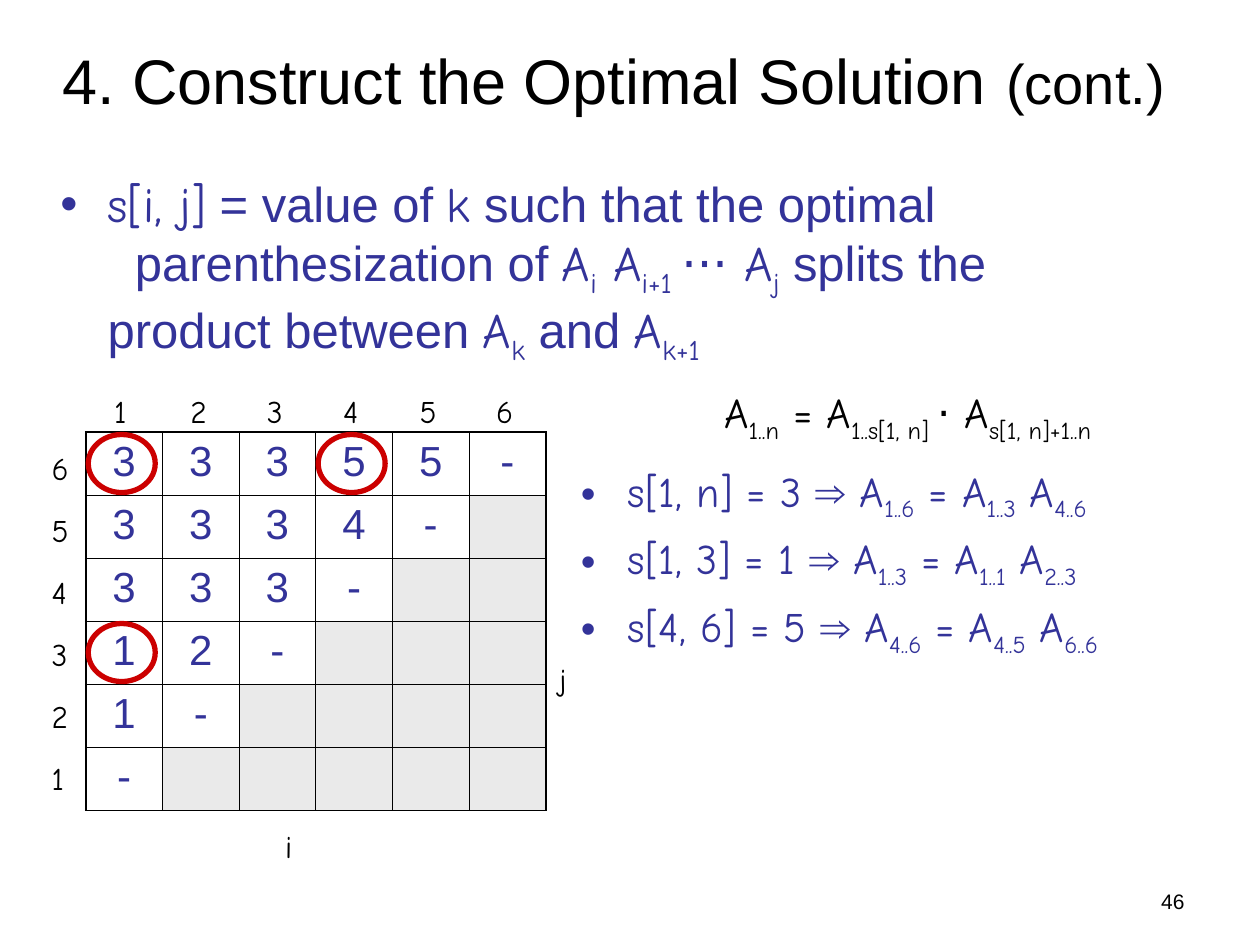
from lxml import etree
from pptx import Presentation
from pptx.dml.color import RGBColor
from pptx.enum.shapes import MSO_SHAPE
from pptx.enum.text import MSO_ANCHOR, MSO_AUTO_SIZE, PP_ALIGN
from pptx.oxml.ns import qn
from pptx.util import Cm, Pt

LEFT, CENTER, RIGHT = PP_ALIGN.LEFT, PP_ALIGN.CENTER, PP_ALIGN.RIGHT
TOP, MIDDLE = MSO_ANCHOR.TOP, MSO_ANCHOR.MIDDLE
FIT_SHAPE = MSO_AUTO_SIZE.SHAPE_TO_FIT_TEXT
ELLIPSE = MSO_SHAPE.OVAL

BLACK = RGBColor(0x00, 0x00, 0x00)
INDIGO = RGBColor(0x33, 0x33, 0x99)
RED = RGBColor(0xCC, 0x00, 0x00)
GRAY = RGBColor(0xEA, 0xEA, 0xEA)

SANS, HAND = "Arial", "Comic Neue"
HANGING = Cm(0.95)

SPLITS = ["3 3 3 5 5 -", "3 3 3 4 -", "3 3 3 -", "1 2 -", "1 -", "-"]
SIZE = len(SPLITS)
GRID_LEFT, GRID_TOP = Cm(1.73), Cm(8.71)
COLUMN_WIDTH, ROW_HEIGHT = Cm(9.27) // SIZE, Cm(1.27)
CHOSEN_CELLS = [(0, 0), (3, 0), (0, 3)]  # row, column

# Each step: s[...] with its value, the product, and its two factors
STEPS = [
    ("s[1, n] = 3 ", "1..6", "1..3", "4..6"),
    ("s[1, 3] = 1 ", "1..3", "1..1", "2..3"),
    ("s[4, 6] = 5 ", "4..6", "4..5", "6..6"),
]


def add_text(paragraph, text, size=18, font=HAND, color=BLACK, sub=False):
    run = paragraph.add_run()
    run.text = text
    run.font.size = Pt(size)
    run.font.name = font
    run.font.color.rgb = color
    if sub:
        run.font._element.set("baseline", "-25000")


def add_formula(paragraph, parts, **style):
    """Write (text, kind) parts; kind is 'math', 'sub' or 'words'."""
    for text, kind in parts:
        add_text(paragraph, text, font=SANS if kind == "words" else HAND,
                 sub=kind == "sub", **style)


def add_box(slide, left, top, width, height, wrap=True, anchor=TOP):
    frame = slide.shapes.add_textbox(left, top, width, height).text_frame
    frame.word_wrap = wrap
    frame.vertical_anchor = anchor
    if not wrap:
        frame.auto_size = FIT_SHAPE
    return frame


def indent(paragraph, margin, bullet=False):
    properties = paragraph._p.get_or_add_pPr()
    properties.set("marL", str(margin))
    properties.set("indent", str(-margin if bullet else 0))
    if bullet:
        color = etree.SubElement(properties, qn("a:buClr"))
        etree.SubElement(color, qn("a:srgbClr"), val=str(INDIGO))
        etree.SubElement(properties, qn("a:buFont"), typeface=SANS)
        etree.SubElement(properties, qn("a:buChar"), char="•")


def add_label(slide, text, left, top):
    frame = add_box(slide, left, top, Cm(0.83), Cm(1.02), wrap=False)
    add_text(frame.paragraphs[0], text)


def set_borders(cell, row, column):
    """Draw thin inner lines and a thicker outer frame."""
    properties = cell._tc.get_or_add_tcPr()
    last = SIZE - 1
    outer_sides = {"L": column == 0, "R": column == last,
                   "T": row == 0, "B": row == last}
    for side, is_outer in outer_sides.items():
        line = etree.SubElement(properties, qn(f"a:ln{side}"),
                                w=str(Pt(1.08 if is_outer else 0.45)))
        fill = etree.SubElement(line, qn("a:solidFill"))
        etree.SubElement(fill, qn("a:srgbClr"), val=str(BLACK))


def add_split_table(slide):
    table = slide.shapes.add_table(SIZE, SIZE, GRID_LEFT, GRID_TOP,
                                   COLUMN_WIDTH * SIZE, ROW_HEIGHT * SIZE).table
    table.first_row = table.horz_banding = False
    for column in table.columns:
        column.width = COLUMN_WIDTH
    for r, values in enumerate(SPLITS):
        table.rows[r].height = ROW_HEIGHT
        values = values.split()
        for c in range(SIZE):
            cell = table.cell(r, c)
            set_borders(cell, r, c)
            if c < len(values):
                cell.fill.background()
                paragraph = cell.text_frame.paragraphs[0]
                paragraph.alignment = CENTER
                add_text(paragraph, values[c], size=24, font=SANS, color=INDIGO)
            else:
                cell.fill.solid()
                cell.fill.fore_color.rgb = GRAY


def add_axis_labels(slide):
    for n in range(SIZE):
        add_label(slide, str(n + 1), Cm(2.05 + 1.54 * n), Cm(7.77))
        add_label(slide, str(SIZE - n), Cm(0.79), Cm(8.92 + 1.25 * n))
    add_label(slide, "i", Cm(5.5), Cm(16.54))
    add_label(slide, "j", Cm(11.02), Cm(13.18))


def add_ring(slide, row, column):
    ring = slide.shapes.add_shape(
        ELLIPSE, GRID_LEFT + COLUMN_WIDTH * column + Cm(0.05),
        GRID_TOP + ROW_HEIGHT * row + Cm(0.05), Cm(1.35), Cm(1.17))
    ring.shadow.inherit = False
    ring.fill.background()
    ring.line.color.rgb = RED
    ring.line.width = Pt(3)


def add_title(slide):
    frame = add_box(slide, Cm(0.94), Cm(0.28), Cm(22.86), Cm(2.51), anchor=MIDDLE)
    title = frame.paragraphs[0]
    title.alignment = CENTER
    add_text(title, "4. Construct the Optimal Solution", size=36, font=SANS)
    add_text(title, " ", size=40, font=SANS)
    add_text(title, "(cont.)", size=32, font=SANS)


def add_definition(slide):
    lines = [
        (HANGING, [("s[i, j]", "math"), (" = value of ", "words"), ("k", "math"),
                   (" such that the optimal", "words")]),
        (Cm(1.5), [("parenthesization of ", "words"), ("A", "math"), ("i", "sub"),
                   (" A", "math"), ("i+1 ", "sub"), ("⋅⋅⋅", "words"),
                   (" A", "math"), ("j", "sub"), (" splits the", "words")]),
        (HANGING, [("product between ", "words"), ("A", "math"), ("k", "sub"),
                   (" and ", "words"), ("A", "math"), ("k+1", "sub")]),
    ]
    frame = add_box(slide, Cm(0.97), Cm(3.38), Cm(22.86), Cm(4.19))
    for n, (margin, parts) in enumerate(lines):
        paragraph = frame.paragraphs[0] if n == 0 else frame.add_paragraph()
        indent(paragraph, margin, bullet=n == 0)
        add_formula(paragraph, parts, size=28, color=INDIGO)


def add_steps(slide):
    frame = add_box(slide, Cm(11.46), Cm(9.25), Cm(13.08), Cm(6.02))
    for n, (split, product, first, second) in enumerate(STEPS):
        paragraph = frame.paragraphs[0] if n == 0 else frame.add_paragraph()
        indent(paragraph, HANGING, bullet=True)
        if n:
            paragraph.space_before = Pt(6)
        add_formula(paragraph, [
            (split, "math"), ("⇒", "words"), (" A", "math"), (product, "sub"),
            (" = A", "math"), (first, "sub"), (" A", "math"), (second, "sub"),
        ], size=24, color=INDIGO)


def add_recurrence(slide):
    frame = add_box(slide, Cm(13.08), Cm(7.67), Cm(9.5), Cm(1.42), wrap=False)
    paragraph = frame.paragraphs[0]
    indent(paragraph, Cm(1.27))
    add_formula(paragraph, [
        ("A", "math"), ("1..n", "sub"), (" = A", "math"), ("1..s[1, n] ", "sub"),
        ("⋅", "words"), (" A", "math"), ("s[1, n]+1..n", "sub"),
    ], size=24)


def add_page_number(slide):
    paragraph = add_box(slide, Cm(18.21), Cm(17.78), Cm(5.92), Cm(0.89)).paragraphs[0]
    paragraph.alignment = RIGHT
    add_text(paragraph, "46", size=12, font=SANS)


def main():
    deck = Presentation()
    deck.slide_width, deck.slide_height = Cm(25.4), Cm(19.05)
    slide = deck.slides.add_slide(deck.slide_layouts[6])
    add_title(slide)
    add_definition(slide)
    add_page_number(slide)
    add_split_table(slide)
    add_axis_labels(slide)
    add_steps(slide)
    for row, column in CHOSEN_CELLS:
        add_ring(slide, row, column)
    add_recurrence(slide)
    deck.save("out.pptx")


if __name__ == "__main__":
    main()
